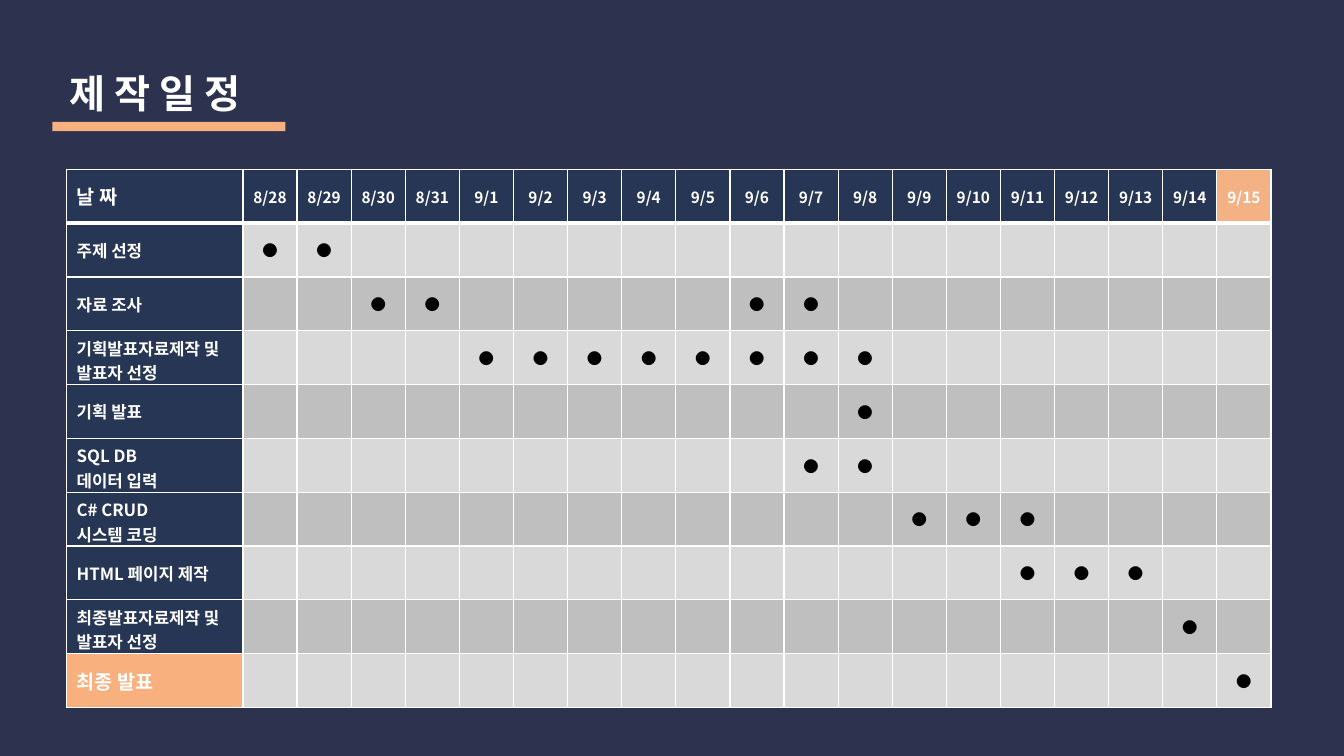
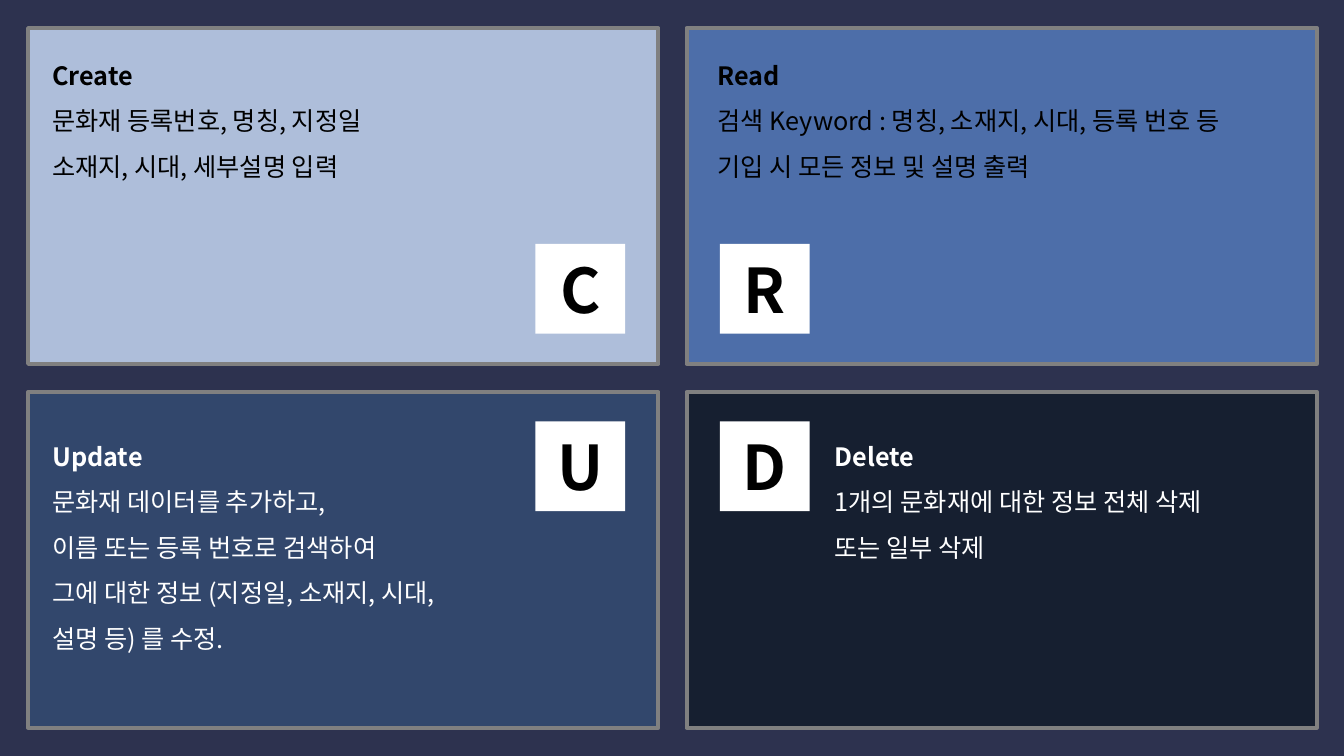
from lxml.etree import SubElement
from pptx import Presentation
from pptx.dml.color import RGBColor
from pptx.enum.shapes import MSO_SHAPE
from pptx.enum.text import MSO_ANCHOR, MSO_AUTO_SIZE, PP_ALIGN
from pptx.oxml.ns import qn
from pptx.util import Inches, Pt

FONT = "Noto Sans CJK KR"
COLORS = {
    "background": "2D324F",
    "white": "FFFFFF",
    "black": "000000",
    "accent": "F8B07E",
    "final_date": "F4B183",
    "header": "263654",
    "odd_row": "D9D9D9",
    "even_row": "BFBFBF",
    "card_border": "808080",
    "create": "AEBEDA",
    "read": "4D6EA9",
    "update": "32476C",
    "delete": "161F30",
}

DATES = [f"8/{day}" for day in range(28, 32)] + [f"9/{day}" for day in range(1, 16)]
# Each task: label lines, then first and last date of every working period
TASKS = [
    (["주제 선정"], [("8/28", "8/29")]),
    (["자료 조사"], [("8/30", "8/31"), ("9/6", "9/7")]),
    (["기획발표자료제작 및 발표자 선정"], [("9/1", "9/8")]),
    (["기획 발표"], [("9/8", "9/8")]),
    (["SQL DB", "데이터 입력"], [("9/7", "9/8")]),
    (["C# CRUD", "시스템 코딩"], [("9/9", "9/11")]),
    (["HTML 페이지 제작"], [("9/11", "9/13")]),
    (["최종발표자료제작 및 발표자 선정"], [("9/14", "9/14")]),
    (["최종 발표"], [("9/15", "9/15")]),
]

CARD_WIDTH, CARD_HEIGHT, CARD_GAP = 6.25, 3.33, 0.28
BADGE_SIZE = 0.89
BADGE_LEFTS = (5.31, 7.14)
BADGE_TOPS = (2.42, 4.18)
# Each card: column, row, fill, text colour, text box, wrap, lines
CARDS = [
    (0, 0, "create", "black", (0.42, 0.4, 3.61, 1.41), False,
     ["Create", "문화재 등록번호, 명칭, 지정일", "소재지, 시대, 세부설명 입력"]),
    (1, 0, "read", "black", (7.02, 0.4, 5.65, 1.41), True,
     ["Read", "검색 Keyword : 명칭, 소재지, 시대, 등록 번호 등",
      "기입 시 모든 정보 및 설명 출력"]),
    (0, 1, "update", "white", (0.42, 4.18, 4.43, 2.77), False,
     ["Update", "문화재 데이터를 추가하고,", "이름 또는 등록 번호로 검색하여",
      "그에 대한 정보 (지정일, 소재지, 시대,", "설명 등) 를 수정."]),
    (1, 1, "delete", "white", (8.18, 4.18, 4.32, 1.41), False,
     ["Delete", "1개의 문화재에 대한 정보 전체 삭제", "또는 일부 삭제"]),
]


def rgb(name):
    return RGBColor.from_string(COLORS[name])


def add_slide(prs):
    slide = prs.slides.add_slide(prs.slide_layouts[6])
    slide.background.fill.solid()
    slide.background.fill.fore_color.rgb = rgb("background")
    return slide


def add_run(paragraph, text, size, color, bold=False):
    run = paragraph.add_run()
    run.text = text
    run.font.name = FONT
    run.font.size = Pt(size)
    run.font.bold = bold
    run.font.color.rgb = rgb(color)
    SubElement(run.font._element, qn("a:ea"), typeface=FONT)


def next_paragraph(frame, index):
    return frame.paragraphs[0] if index == 0 else frame.add_paragraph()


def add_textbox(slide, box, wrap=False):
    frame = slide.shapes.add_textbox(*map(Inches, box)).text_frame
    frame.word_wrap = wrap
    frame.auto_size = MSO_AUTO_SIZE.SHAPE_TO_FIT_TEXT
    return frame


def add_rectangle(slide, box, fill, border=None):
    rectangle = slide.shapes.add_shape(MSO_SHAPE.RECTANGLE, *map(Inches, box))
    rectangle.shadow.inherit = False
    rectangle.fill.solid()
    rectangle.fill.fore_color.rgb = rgb(fill)
    if border:
        rectangle.line.color.rgb = rgb(border)
        rectangle.line.width = Pt(3)
    else:
        rectangle.line.fill.background()
    return rectangle


def add_title(slide, title):
    frame = add_textbox(slide, (0.59, 0.64, 2.19, 0.57))
    add_run(frame.paragraphs[0], title, 28, "white", bold=True)
    add_rectangle(slide, (0.52, 1.21, 2.31, 0.09), "accent")


def set_borders(cell, top=1, bottom=1):
    """Draw white edges; this precedes the fill, as the schema orders them."""
    properties = cell._tc.get_or_add_tcPr()
    for side, width in (("L", 1), ("R", 1), ("T", top), ("B", bottom)):
        edge = SubElement(properties, qn(f"a:ln{side}"), w=str(Pt(width)))
        fill = SubElement(edge, qn("a:solidFill"))
        SubElement(fill, qn("a:srgbClr"), val=COLORS["white"])


def style_cell(cell, row, fill):
    set_borders(cell, top=3 if row == 1 else 1, bottom=3 if row == 0 else 1)
    cell.fill.solid()
    cell.fill.fore_color.rgb = rgb(fill)
    cell.vertical_anchor = MSO_ANCHOR.MIDDLE


def fill_label(cell, row, lines, size, fill):
    style_cell(cell, row, fill)
    if len(lines) > 1 or len(lines[0]) > 12:
        cell.margin_bottom = 0  # two lines just fit the row
    for index, line in enumerate(lines):
        add_run(next_paragraph(cell.text_frame, index), line, size, "white", bold=True)


def fill_day(cell, row, text, color, fill, bold=False):
    style_cell(cell, row, fill)
    cell.margin_left = cell.margin_right = Inches(0.05)
    if text:
        paragraph = cell.text_frame.paragraphs[0]
        paragraph.alignment = PP_ALIGN.CENTER
        add_run(paragraph, text, 11, color, bold)


def add_schedule(slide):
    width, height, label_width = 11.95, 5.34, 1.75
    row_count = len(TASKS) + 1
    table = slide.shapes.add_table(
        row_count, len(DATES) + 1,
        Inches(0.66), Inches(1.68), Inches(width), Inches(height)).table
    for column in table.columns:
        column.width = Inches((width - label_width) / len(DATES))
    table.columns[0].width = Inches(label_width)
    for table_row in table.rows:
        table_row.height = Inches(height / row_count)

    fill_label(table.cell(0, 0), 0, ["날 짜"], 14, "header")
    for column, date in enumerate(DATES, 1):
        fill = "final_date" if date == DATES[-1] else "header"
        fill_day(table.cell(0, column), 0, date, "white", fill, bold=True)

    for row, (label, periods) in enumerate(TASKS, 1):
        is_final = row == len(TASKS)
        fill_label(table.cell(row, 0), row, label, 14 if is_final else 12,
                   "accent" if is_final else "header")
        band = "odd_row" if row % 2 else "even_row"
        spans = [(DATES.index(first), DATES.index(last)) for first, last in periods]
        for day in range(len(DATES)):
            busy = any(first <= day <= last for first, last in spans)
            fill_day(table.cell(row, day + 1), row, "●" if busy else "", "black", band)


def add_card(slide, column, row, fill, text_color, text_box, wrap, lines):
    left = CARD_GAP + column * (CARD_WIDTH + CARD_GAP)
    top = CARD_GAP + row * (CARD_HEIGHT + CARD_GAP)
    add_rectangle(slide, (left, top, CARD_WIDTH, CARD_HEIGHT), fill, "card_border")

    badge = add_rectangle(
        slide, (BADGE_LEFTS[column], BADGE_TOPS[row], BADGE_SIZE, BADGE_SIZE), "white")
    badge.text_frame.vertical_anchor = MSO_ANCHOR.MIDDLE
    initial = badge.text_frame.paragraphs[0]
    initial.alignment = PP_ALIGN.CENTER
    add_run(initial, lines[0][0], 44, "black", bold=True)

    frame = add_textbox(slide, text_box, wrap)
    for index, line in enumerate(lines):
        paragraph = next_paragraph(frame, index)
        paragraph.line_spacing = 1.5
        add_run(paragraph, line, 18, text_color, bold=index == 0)


def main():
    prs = Presentation()
    prs.slide_width, prs.slide_height = Inches(13.33), Inches(7.5)

    schedule = add_slide(prs)
    add_title(schedule, "제 작 일 정")
    add_schedule(schedule)

    features = add_slide(prs)
    for card in CARDS:
        add_card(features, *card)

    prs.save("out.pptx")


if __name__ == "__main__":
    main()
